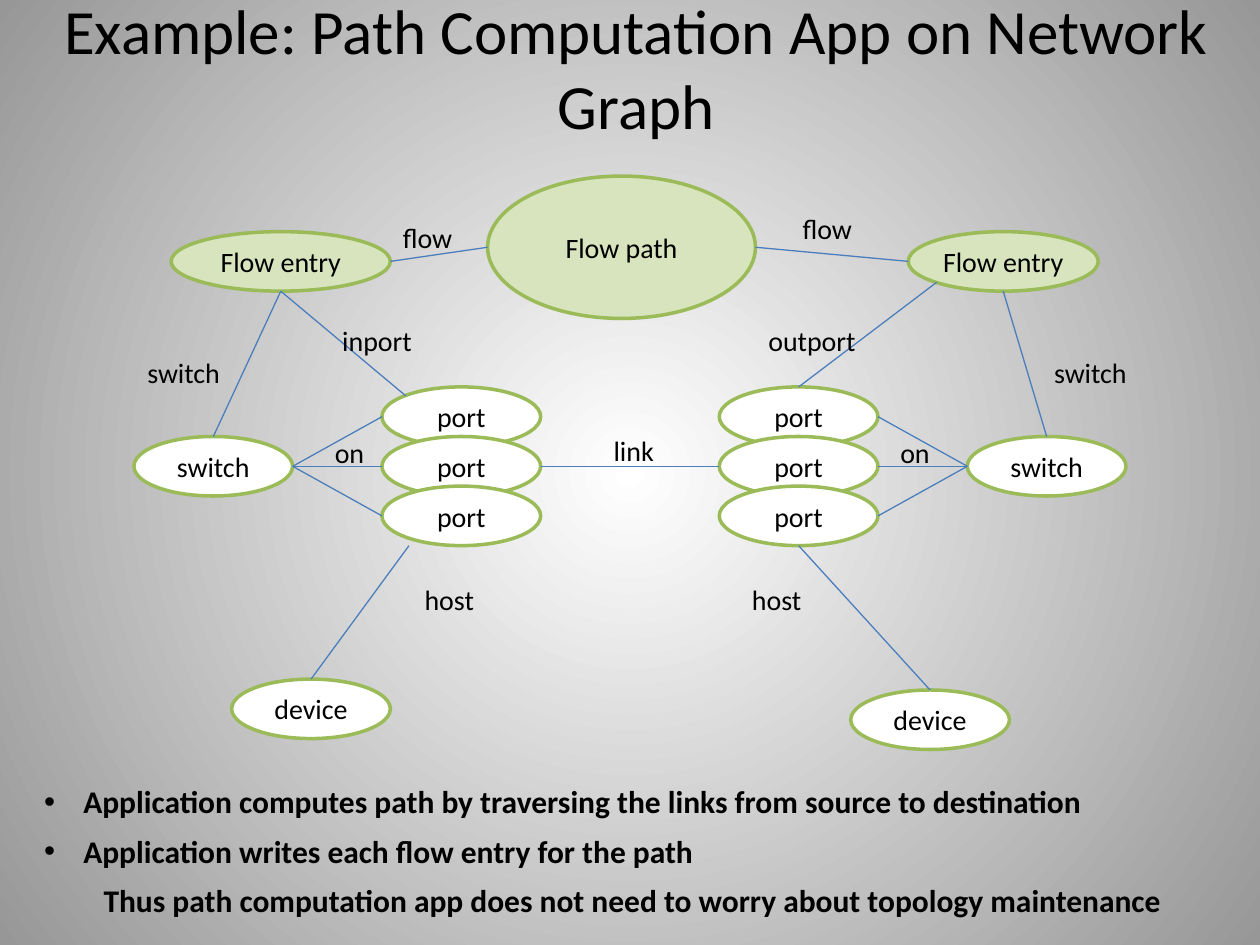
from typing import NamedTuple

from lxml import etree
from pptx import Presentation
from pptx import util as u
from pptx.dml.color import RGBColor
from pptx.enum import shapes, text
from pptx.oxml import ns

HUES = {"ink": "000000", "rim": "9BBB59", "leaf": "D7E4BD", "plain": "FFFFFF",
        "link": "4B7EBC", "edge": "979797"}
LEFT, MID = text.PP_ALIGN.LEFT, text.PP_ALIGN.CENTER

# Places on an oval's rim, as shares of its width and height
SIDES = {"top": (0.5, 0), "left": (0, 0.5), "low": (0.5, 1), "right": (1, 0.5),
         "top left": (0.15, 0.15), "low left": (0.15, 0.85), "foot": (0.17, 1)}


class Node(NamedTuple):
    name: str
    x: float
    y: float
    w: float = 3.2
    h: float = 1.2
    fill: str = "plain"


class Label(NamedTuple):
    name: str
    x: float
    y: float
    w: float


class Edge(NamedTuple):
    start: str
    exit: str
    end: str
    entry: str


# Port stacks overlap: one port per centimetre
PORTS = {f"{side} port {n}": Node("port", x, 7.8 + n)
         for side, x in (("west", 7.7), ("east", 14.5)) for n in range(3)}
NODES = PORTS | {
    "west switch": Node("switch", 2.7, 8.8),
    "east switch": Node("switch", 19.5, 8.8),
    "west device": Node("device", 4.67, 13.69),
    "east device": Node("device", 17.15, 13.91),
    "path": Node("Flow path", 9.83, 3.55, 5.4, 2.87, "leaf"),
    "west entry": Node("Flow entry", 3.45, 4.67, 4.42, 1.2, "leaf"),
    "east entry": Node("Flow entry", 18.31, 4.67, 3.83, 1.2, "leaf"),
}

EDGES = [
    *(Edge("west switch", "right", f"west port {n}", "left") for n in range(3)),
    *(Edge(f"east port {n}", "right", "east switch", "left") for n in range(3)),
    *(Edge(f"{side} entry", "low", f"{side} switch", "top")
      for side in ("west", "east")),
    Edge("west port 1", "right", "east port 1", "left"),
    Edge("west entry", "right", "path", "left"),
    Edge("east entry", "left", "path", "right"),
    Edge("west entry", "low", "west port 0", "top left"),
    Edge("east entry", "low left", "east port 0", "top"),
    Edge("west device", "top", "west port 2", "foot"),
    Edge("east port 2", "low", "east device", "top"),
]

LABELS = [
    Label("on", 6.5, 8.66, 1.12), Label("on", 17.9, 8.66, 1.12),
    Label("link", 12.12, 8.61, 1.32),
    Label("inport", 6.65, 6.4, 1.93), Label("outport", 15.24, 6.4, 2.29),
    Label("switch", 2.72, 7.04, 2.0), Label("switch", 21.0, 7.04, 2.0),
    Label("host", 8.31, 11.61, 1.52), Label("host", 14.91, 11.61, 1.52),
    Label("flow", 7.87, 4.32, 1.52), Label("flow", 15.93, 4.14, 1.52),
]


def hue(key: str) -> RGBColor:
    return RGBColor.from_string(HUES[key])


def write(frame, words: str, *, size=16, bold=False, align=LEFT, space=None,
          bullet=False) -> None:
    """Add one paragraph, using the empty first one if there is one."""
    para = frame.add_paragraph() if frame.text else frame.paragraphs[0]
    para.alignment = align
    if space:
        para.line_spacing = space
    if bullet:
        props = para._p.get_or_add_pPr()
        props.set("marL", str(u.Cm(0.79)))
        props.set("indent", str(-u.Cm(0.79)))
        etree.SubElement(props, ns.qn("a:buFont"), typeface="Arial")
        etree.SubElement(props, ns.qn("a:buChar"), char="•")
    run = para.add_run()
    run.text = words
    run.font.name, run.font.size, run.font.bold = "Calibri", u.Pt(size), bold
    run.font.color.rgb = hue("ink")


def add_box(slide, x: float, y: float, w: float, h: float, wrap=True):
    box = slide.shapes.add_textbox(u.Cm(x), u.Cm(y), u.Cm(w), u.Cm(h))
    box.text_frame.word_wrap = wrap
    return box.text_frame


def add_node(slide, node: Node) -> None:
    oval = slide.shapes.add_shape(shapes.MSO_SHAPE.OVAL, u.Cm(node.x), u.Cm(node.y),
                                  u.Cm(node.w), u.Cm(node.h))
    oval.shadow.inherit = False
    oval.fill.solid()
    oval.fill.fore_color.rgb = hue(node.fill)
    oval.line.color.rgb, oval.line.width = hue("rim"), u.Pt(2)
    frame = oval.text_frame
    frame.word_wrap, frame.vertical_anchor = False, text.MSO_ANCHOR.MIDDLE
    write(frame, node.name, align=MID)


def spot(name: str, side: str) -> tuple[u.Length, u.Length]:
    node, (across, down) = NODES[name], SIDES[side]
    return u.Cm(node.x + across * node.w), u.Cm(node.y + down * node.h)


def add_edge(slide, edge: Edge) -> None:
    line = slide.shapes.add_connector(shapes.MSO_CONNECTOR.STRAIGHT,
                                      *spot(edge.start, edge.exit),
                                      *spot(edge.end, edge.entry))
    line.line.color.rgb, line.line.width = hue("link"), u.Pt(0.75)
    etree.SubElement(line._element.spPr, ns.qn("a:effectLst"))


def paint(slide) -> None:
    """Round gradient, white in the centre."""
    fill = slide.background.fill
    fill.gradient()
    for stop, key, place in zip(fill.gradient_stops, ("plain", "edge"), (0, 1)):
        stop.color.rgb, stop.position = hue(key), place
    grad = slide.element.find(".//" + ns.qn("a:gradFill"))
    ray = etree.Element(ns.qn("a:path"), {"path": "circle"})
    half = dict.fromkeys("ltrb", "50000")
    etree.SubElement(ray, ns.qn("a:fillToRect"), half)
    grad.replace(grad.find(ns.qn("a:lin")), ray)


def main() -> None:
    deck = Presentation()
    deck.slide_width, deck.slide_height = u.Cm(25.4), u.Cm(19.05)
    slide = deck.slides.add_slide(deck.slide_layouts[6])
    paint(slide)

    # Title
    head = add_box(slide, 0.81, 0.61, 24.03, 1.47)
    head.vertical_anchor = text.MSO_ANCHOR.MIDDLE
    write(head, "Example: Path Computation App on Network Graph", size=36, align=MID)

    # Network graph
    for node in NODES.values():
        add_node(slide, node)
    for edge in EDGES:
        add_edge(slide, edge)
    for label in LABELS:
        write(add_box(slide, label.x, label.y, label.w, 0.94, wrap=False), label.name)

    # Closing points
    notes = add_box(slide, 0.64, 15.42, 24.23, 3.23)
    look = dict(size=18, bold=True, space=1.3)
    write(notes, "Application computes path by traversing the links from source "
          "to destination", bullet=True, **look)
    write(notes, "Application writes each flow entry for the path", bullet=True, **look)
    write(notes, "Thus path computation app does not need to worry about topology "
          "maintenance", align=MID, **look)

    deck.save("out.pptx")


if __name__ == "__main__":
    main()
